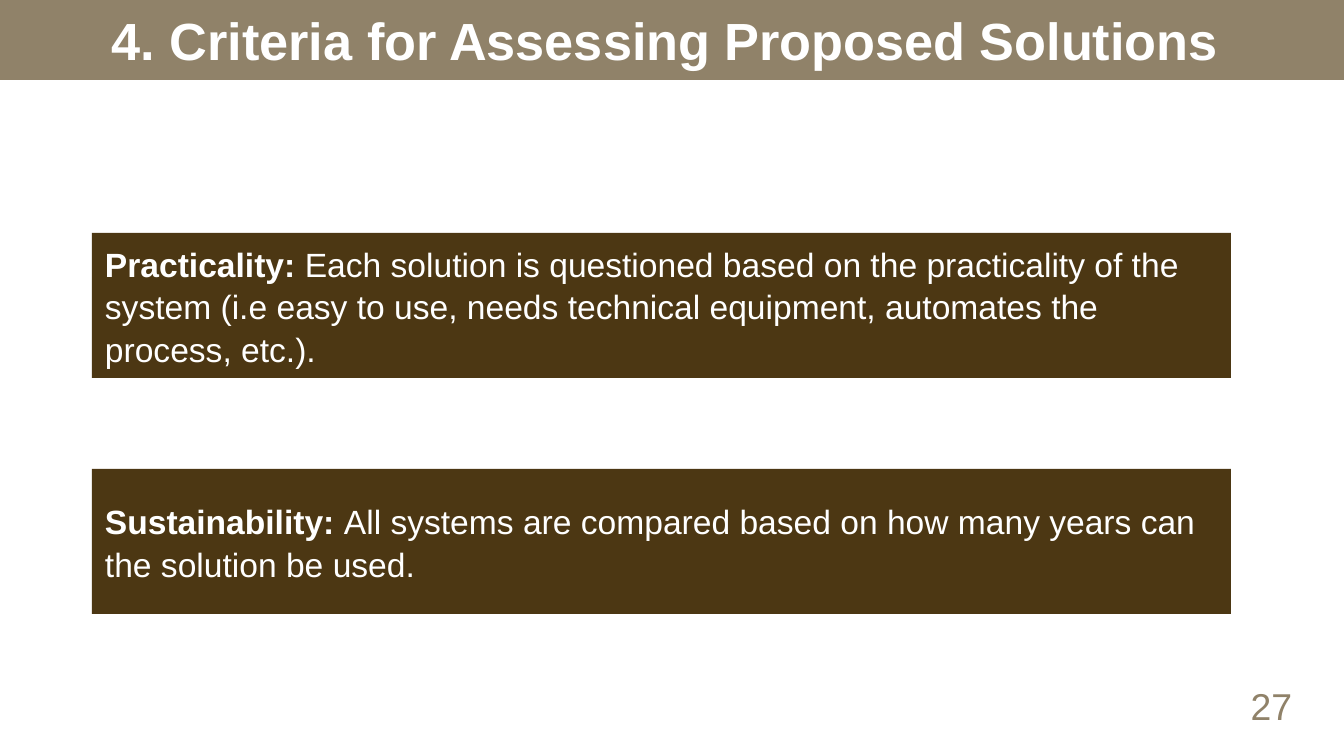
import pptx
import pptx.dml.color
import pptx.enum.shapes
import pptx.enum.text
import pptx.util

PX = 914400 / 134.4
FONT = "Arial"
COLORS = {"band": "908269", "panel": "4C3713", "white": "FFFFFF"}
ALIGN = pptx.enum.text.PP_ALIGN
ANCHOR = pptx.enum.text.MSO_ANCHOR


def px(length):
    return pptx.util.Emu(round(length * PX))


def color(name):
    return pptx.dml.color.RGBColor.from_string(COLORS[name])


def write(shape, spans, size=18, ink="white", align=ALIGN.LEFT,
          anchor=ANCHOR.MIDDLE, inset=13, spacing=1.0):
    """Fill a shape with one paragraph of (text, bold) spans."""
    frame = shape.text_frame
    frame.word_wrap = True
    frame.auto_size = pptx.enum.text.MSO_AUTO_SIZE.NONE
    frame.vertical_anchor = anchor
    frame.margin_left = frame.margin_right = px(13)
    frame.margin_top = frame.margin_bottom = px(inset)
    para = frame.paragraphs[0]
    para.alignment = align
    para.line_spacing = spacing
    for text, bold in spans:
        span = para.add_run()
        span.text = text
        span.font.name = FONT
        span.font.size = pptx.util.Pt(size)
        span.font.bold = bold
        span.font.color.rgb = color(ink)


class SlideBuilder:
    def __init__(self, deck):
        self.page = deck.slides.add_slide(deck.slide_layouts[5])

    def rectangle(self, left, top, width, height, fill):
        shape = self.page.shapes.add_shape(
            pptx.enum.shapes.MSO_SHAPE.RECTANGLE,
            px(left), px(top), px(width), px(height))
        shape.shadow.inherit = False
        shape.fill.solid()
        shape.fill.fore_color.rgb = color(fill)
        shape.line.fill.background()
        return shape

    def title(self, text, left, top, width, height):
        band = self.rectangle(left, top, width, height, "band")
        title = self.page.shapes.title
        title._element.addprevious(band._element)  # band lies behind the title
        title.left, title.top = px(left), px(top)
        title.width, title.height = px(width), px(height)
        write(title, [(text, True)], size=28, align=ALIGN.CENTER)

    def panel(self, heading, body, left, top, width, height):
        panel = self.rectangle(left, top, width, height, "panel")
        write(panel, [(heading + " ", True), (body, False)], spacing=1.05)

    def page_number(self, text, left, top, width, height):
        box = self.page.shapes.add_textbox(
            px(left), px(top), px(width), px(height))
        write(box, [(text, False)], size=20, ink="band",
              align=ALIGN.CENTER, anchor=ANCHOR.TOP, inset=7)


def main():
    deck = pptx.Presentation()
    deck.slide_width, deck.slide_height = px(1344), px(756)
    slide = SlideBuilder(deck)

    # Title band
    slide.title("4. Criteria for Assessing Proposed Solutions ", 0, -1, 1344, 81)

    # Page number
    slide.page_number("27", 1199, 676, 145, 59)

    # Criteria panels
    criteria = [
        ("Practicality:", "Each solution is questioned based on the "
         "practicality of the system (i.e easy to use, needs technical "
         "equipment, automates the process, etc.)."),
        ("Sustainability:", "All systems are compared based on how many "
         "years can the solution be used."),
    ]
    for index, (heading, body) in enumerate(criteria):
        slide.panel(heading, body, 92, 233 + 236 * index, 1139, 145)

    deck.save("out.pptx")


if __name__ == "__main__":
    main()
